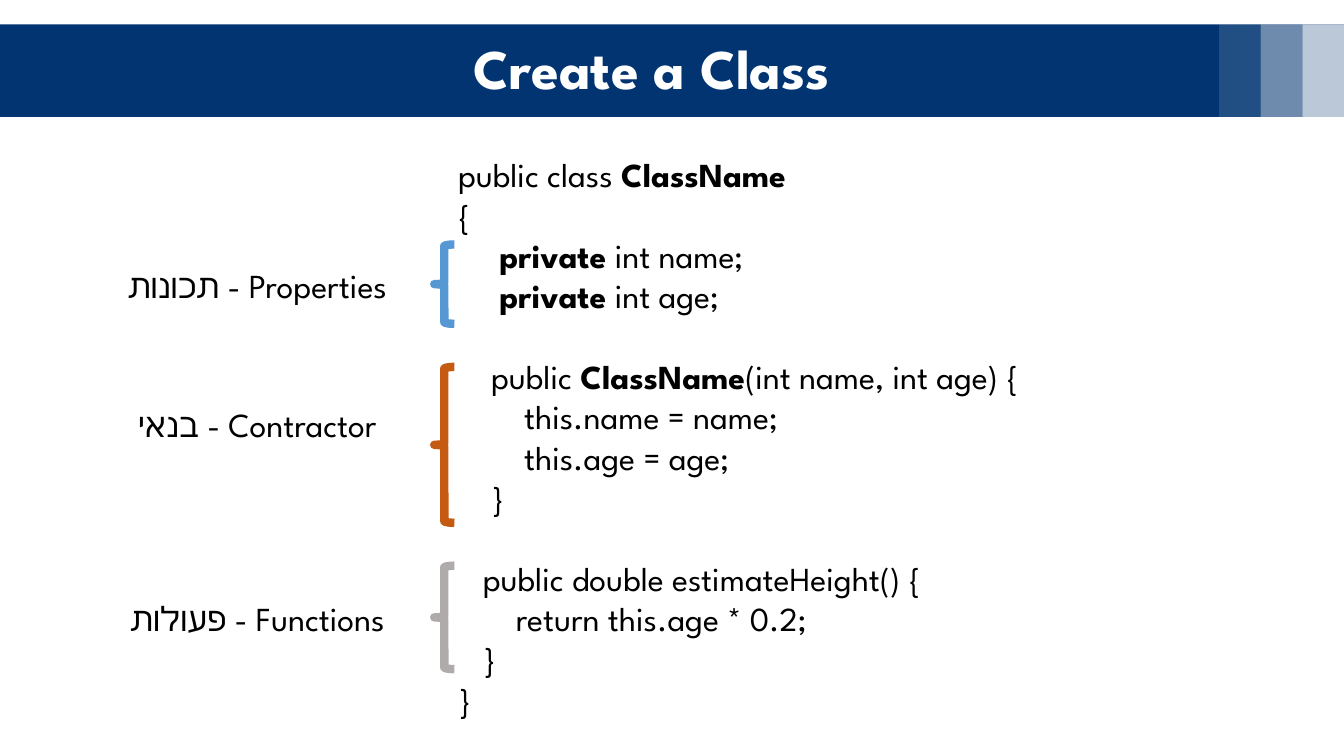
"""Build a slide that explains the parts of a class."""
import dataclasses
import typing

import lxml.etree
import pptx
import pptx.dml.color
import pptx.enum.shapes
import pptx.enum.text
import pptx.oxml.ns
import pptx.util

Pt = pptx.util.Pt
SHAPE = pptx.enum.shapes.MSO_SHAPE
CENTER = pptx.enum.text.PP_ALIGN.CENTER
FONT = "League Spartan"
SPACE_WIDTH = 4.43
BLANK_LINE = 21.6
STRIP_WIDTH = 22.32


@dataclasses.dataclass
class Box:
    left: float
    top: float
    width: float
    height: float

    def lengths(self) -> list:
        return [Pt(value) for value in dataclasses.astuple(self)]


@dataclasses.dataclass
class CodeLine:
    before: str
    bold: str = ""
    after: str = ""
    indent: int = 0
    gap: bool = False


@dataclasses.dataclass
class Section:
    label: str
    label_top: float
    brace_top: float
    brace_height: float
    color: str


CODE = [
    CodeLine("public class ", "ClassName"),
    CodeLine("{"),
    CodeLine("", "private", " int name;", indent=5),
    CodeLine("", "private", " int age;", indent=5),
    CodeLine("public ", "ClassName", "(int name, int age) {", indent=4, gap=True),
    CodeLine("this.name = name;", indent=8),
    CodeLine("this.age = age;", indent=8),
    CodeLine("}", indent=4),
    CodeLine("public double estimateHeight() {", indent=3, gap=True),
    CodeLine("return this.age * 0.2;", indent=7),
    CodeLine("}", indent=3),
    CodeLine("}"),
]
SECTIONS = [
    Section("תכונות - Properties", 138.2, 131, 42.5, "5698D3"),
    Section("בנאי - Contractor", 213.1, 196.6, 83.5, "C55A11"),
    Section("פעולות - Functions", 316.8, 303.1, 55.4, "AFABAB"),
]


def set_color(color_format: typing.Any, color: str) -> None:
    color_format.rgb = pptx.dml.color.RGBColor.from_string(color)


def format_font(font: typing.Any, size: float, color: str, bold: bool) -> None:
    font.name, font.size, font.bold = FONT, Pt(size), bold
    set_color(font.color, color)


def add_bar(shapes: typing.Any, box: Box, color: str, opacity: int = 100) -> None:
    shape = shapes.add_shape(SHAPE.RECTANGLE, *box.lengths())
    shape.shadow.inherit = False
    shape.line.fill.background()
    shape.fill.solid()
    set_color(shape.fill.fore_color, color)
    if opacity < 100:
        qn = pptx.oxml.ns.qn
        fill_color = shape._element.spPr.find(qn("a:solidFill")).find(qn("a:srgbClr"))
        alpha = lxml.etree.SubElement(fill_color, qn("a:alpha"))
        alpha.set("val", str(opacity * 1000))


def add_text_frame(slide: typing.Any, box: Box) -> typing.Any:
    text_frame = slide.shapes.add_textbox(*box.lengths()).text_frame
    text_frame.word_wrap = True
    return text_frame


def add_label(slide: typing.Any, box: Box, text: str, size: float = 18,
              color: str = "000000", bold: bool = False) -> typing.Any:
    text_frame = add_text_frame(slide, box)
    text_frame.text = text
    paragraph = text_frame.paragraphs[0]
    paragraph.alignment = CENTER
    format_font(paragraph.runs[0].font, size, color, bold)
    return text_frame


def add_code(slide: typing.Any, box: Box, lines: list[CodeLine]) -> None:
    text_frame = add_text_frame(slide, box)
    for index, line in enumerate(lines):
        paragraph = text_frame.add_paragraph() if index else text_frame.paragraphs[0]
        properties = paragraph._p.get_or_add_pPr()
        properties.set("marL", str(int(Pt(line.indent * SPACE_WIDTH))))
        if line.gap:
            paragraph.space_before = Pt(BLANK_LINE)
        for text, bold in ((line.before, False), (line.bold, True), (line.after, False)):
            if text:
                run = paragraph.add_run()
                run.text = text
                format_font(run.font, 18, "000000", bold)


def add_brace(slide: typing.Any, box: Box, color: str) -> None:
    shape = slide.shapes.add_shape(SHAPE.LEFT_BRACE, *box.lengths())
    shape.shadow.inherit = False
    shape.fill.background()
    shape.line.width = Pt(4.5)
    set_color(shape.line.color, color)


def main() -> None:
    presentation = pptx.Presentation()
    presentation.slide_width, presentation.slide_height = Pt(720), Pt(405)
    slide = presentation.slides.add_slide(presentation.slide_layouts[6])

    banner = slide.shapes.add_group_shape()
    add_bar(banner.shapes, Box(0, 13, 720, 49.7), "013471")
    for position, opacity in enumerate((73, 43, 13), start=1):
        left = 720 - position * STRIP_WIDTH
        add_bar(banner.shapes, Box(left, 13, STRIP_WIDTH, 49.7), "FFFFFF", opacity)

    title = add_label(slide, Box(34.6, 13, 629.3, 48.2), "Create a Class", 30, "FFFFFF", True)
    title.margin_left = title.margin_right = title.margin_top = title.margin_bottom = Pt(5)

    add_code(slide, Box(238.3, 79.2, 384.5, 312.5), CODE)
    for section in SECTIONS:
        add_label(slide, Box(48.2, section.label_top, 179.3, 28.8), section.label)
        add_brace(slide, Box(232.6, section.brace_top, 10.8, section.brace_height), section.color)

    presentation.save("out.pptx")


if __name__ == "__main__":
    main()
